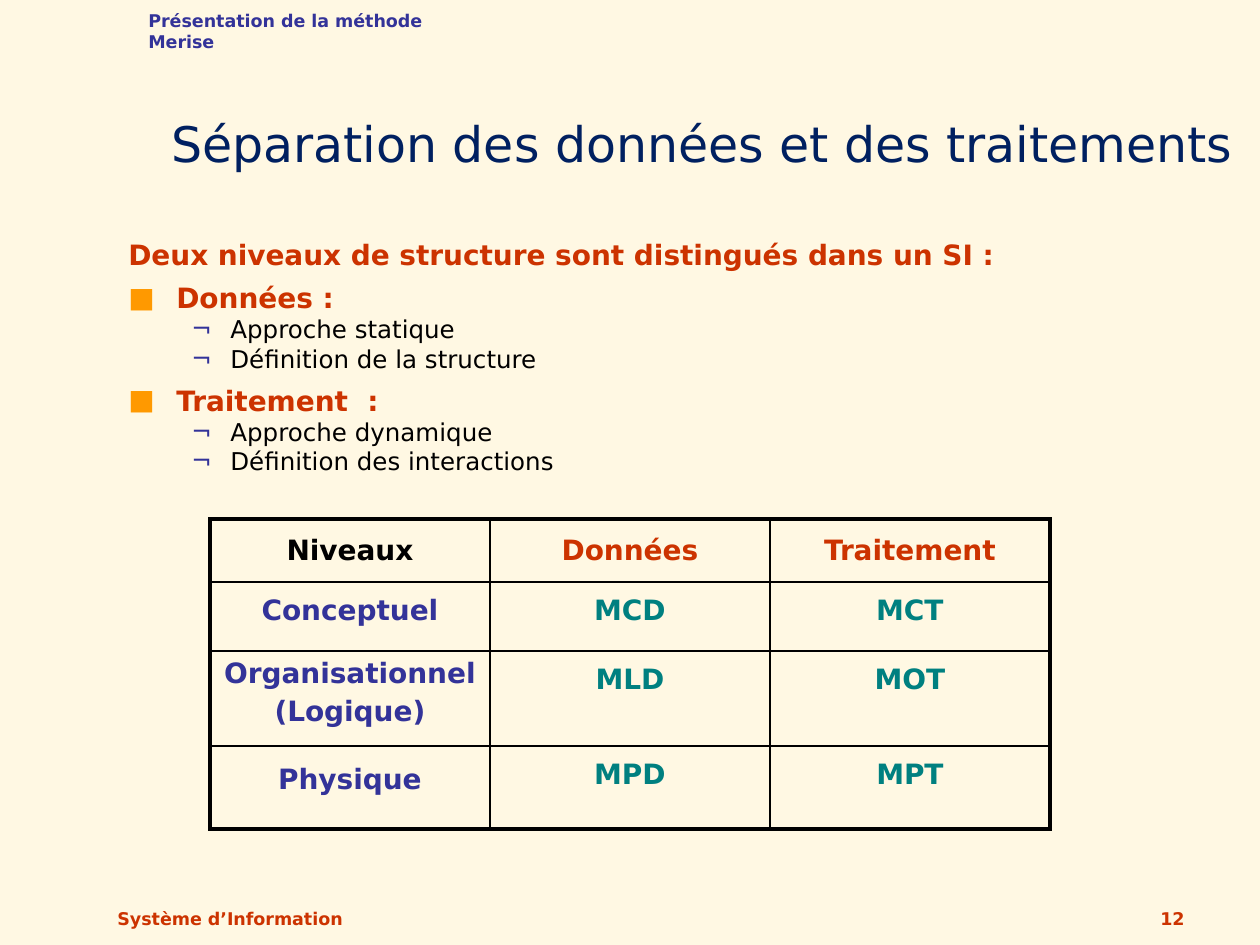
from lxml import etree
from pptx import Presentation
from pptx.dml.color import RGBColor
from pptx.enum.text import MSO_ANCHOR, PP_ALIGN
from pptx.oxml.ns import qn
from pptx.util import Emu, Pt

LEFT, CENTER, RIGHT = PP_ALIGN.LEFT, PP_ALIGN.CENTER, PP_ALIGN.RIGHT
TOP, BOTTOM = MSO_ANCHOR.TOP, MSO_ANCHOR.BOTTOM

PIXELS_PER_INCH = 126
CREAM, NAVY, BLUE = "FFF8E3", "002060", "333399"
RED, TEAL, ORANGE, BLACK = "CC3300", "008080", "FF9900", "000000"


def px(length):
    return Emu(round(length * 914400 / PIXELS_PER_INCH))


def color(value):
    return RGBColor.from_string(value)


def add_solid_color(parent, value):
    fill = etree.SubElement(parent, qn("a:solidFill"))
    etree.SubElement(fill, qn("a:srgbClr"), val=value)


def write(paragraph, text, size=16, ink=BLACK, bold=True, align=LEFT,
          line=1.0, before=0):
    paragraph.alignment = align
    paragraph.line_spacing = line
    paragraph.space_before = Pt(before)
    run = paragraph.add_run()
    run.text = text
    run.font.name = "DejaVu Sans"
    run.font.size = Pt(size)
    run.font.bold = bold
    run.font.color.rgb = color(ink)


def indent(paragraph, margin, hanging, bullet=None, bullet_color=None):
    properties = paragraph._p.get_or_add_pPr()
    properties.set("marL", str(px(margin)))
    properties.set("indent", str(-px(hanging)))
    if bullet:
        tint = etree.SubElement(properties, qn("a:buClr"))
        etree.SubElement(tint, qn("a:srgbClr"), val=bullet_color)
        etree.SubElement(properties, qn("a:buFont"), typeface="DejaVu Sans")
        etree.SubElement(properties, qn("a:buChar"), char=bullet)


class SlideBuilder:
    def __init__(self, presentation):
        self.slide = presentation.slides.add_slide(presentation.slide_layouts[6])
        background = self.slide.background.fill
        background.solid()
        background.fore_color.rgb = color(CREAM)

    def frame(self, left, top, width, height, anchor=TOP):
        shape = self.slide.shapes.add_textbox(px(left), px(top), px(width), px(height))
        shape.text_frame.word_wrap = True
        shape.text_frame.vertical_anchor = anchor
        return shape.text_frame

    def label(self, text, box, anchor=BOTTOM, **style):
        write(self.frame(*box, anchor).paragraphs[0], text, **style)

    def outline(self, heading, sections, box):
        frame = self.frame(*box)
        write(frame.paragraphs[0], heading, ink=RED)
        indent(frame.paragraphs[0], 48, 48)
        for title, items in sections:
            paragraph = frame.add_paragraph()
            write(paragraph, title, ink=RED, line=1.3)
            indent(paragraph, 48, 48, "■", ORANGE)
            for item in items:
                paragraph = frame.add_paragraph()
                paragraph.level = 1
                write(paragraph, item, size=14, bold=False)
                indent(paragraph, 102, 39, "¬", BLUE)

    def table(self, rows, left, top, column_width, row_heights):
        column_count = len(rows[0])
        graphic = self.slide.shapes.add_table(
            len(rows), column_count, px(left), px(top),
            px(column_width * column_count), px(sum(row_heights)))
        table = graphic.table
        table.first_row = table.horz_banding = False
        for column in table.columns:
            column.width = px(column_width)
        for row, height in zip(table.rows, row_heights):
            row.height = px(height)
        for r, row in enumerate(rows):
            for c, (text, ink, line) in enumerate(row):
                cell = table.cell(r, c)
                self.borders(cell, L=c == 0, R=c == column_count - 1,
                             T=r == 0, B=r == len(rows) - 1)
                cell.fill.background()
                frame = cell.text_frame
                for i, part in enumerate(text.split("\n")):
                    paragraph = frame.add_paragraph() if i else frame.paragraphs[0]
                    write(paragraph, part, ink=ink, align=CENTER, line=line,
                          before=3.2 if i else 0)

    def borders(self, cell, **outer_sides):
        properties = cell._tc.get_or_add_tcPr()
        for side, outer in outer_sides.items():
            width = Pt(2.25 if outer else 1)
            edge = etree.SubElement(properties, qn(f"a:ln{side}"), w=str(width))
            add_solid_color(edge, BLACK)


def main():
    presentation = Presentation()
    presentation.slide_width, presentation.slide_height = px(1260), px(945)
    builder = SlideBuilder(presentation)

    # Footer
    builder.label("Système d’Information", (105, 872, 399, 63), size=10, ink=RED)
    builder.label("12", (935, 872, 262, 63), size=10, ink=RED, align=RIGHT)

    # Title and running header
    builder.label("Séparation des données et des traitements",
                  (159, 21, 1101, 158), size=28, ink=NAVY, bold=False)
    builder.label("Présentation de la méthode Merise", (136, 4, 367, 34),
                  anchor=TOP, size=10, ink=BLUE)

    # Two structure levels
    builder.outline("Deux niveaux de structure sont distingués dans un SI :", [
        ("Données :", ["Approche statique", "Définition de la structure"]),
        ("Traitement  :", ["Approche dynamique", "Définition des interactions"]),
    ], (116, 231, 1061, 284))

    # Models by level: text, colour and line spacing of each cell
    rows = [[("Niveaux", BLACK, 1.3), ("Données", RED, 1.3), ("Traitement", RED, 1.3)]]
    for level, line, data, process in [
        ("Conceptuel", 1.2, "MCD", "MCT"),
        ("Organisationnel\n(Logique)", 1.0, "MLD", "MOT"),
        ("Physique", 1.35, "MPD", "MPT"),
    ]:
        rows.append([(level, BLUE, line), (data, TEAL, 1.2), (process, TEAL, 1.2)])
    builder.table(rows, 210, 519, 280, [63, 69, 95, 83])

    presentation.save("out.pptx")


if __name__ == "__main__":
    main()
